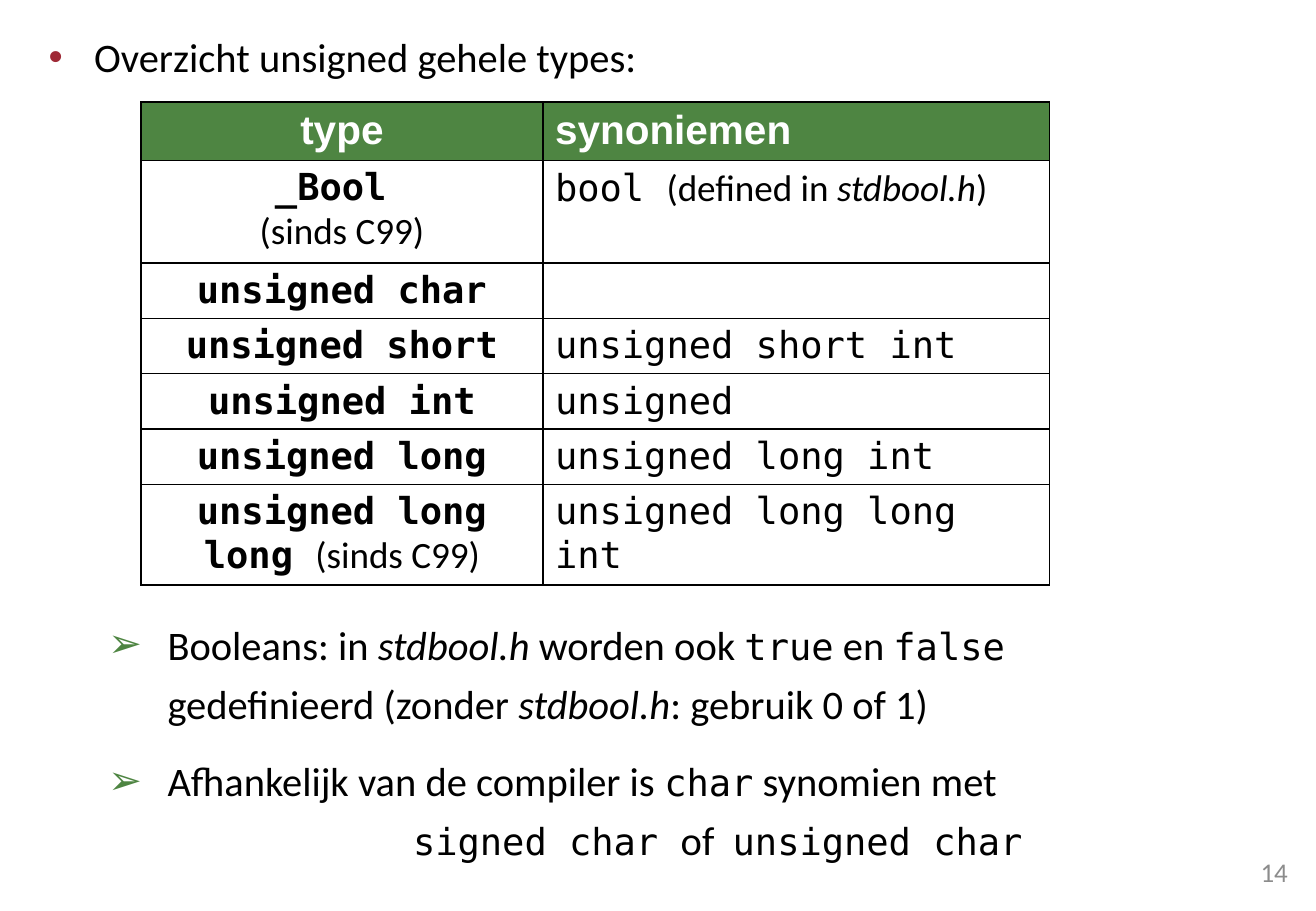
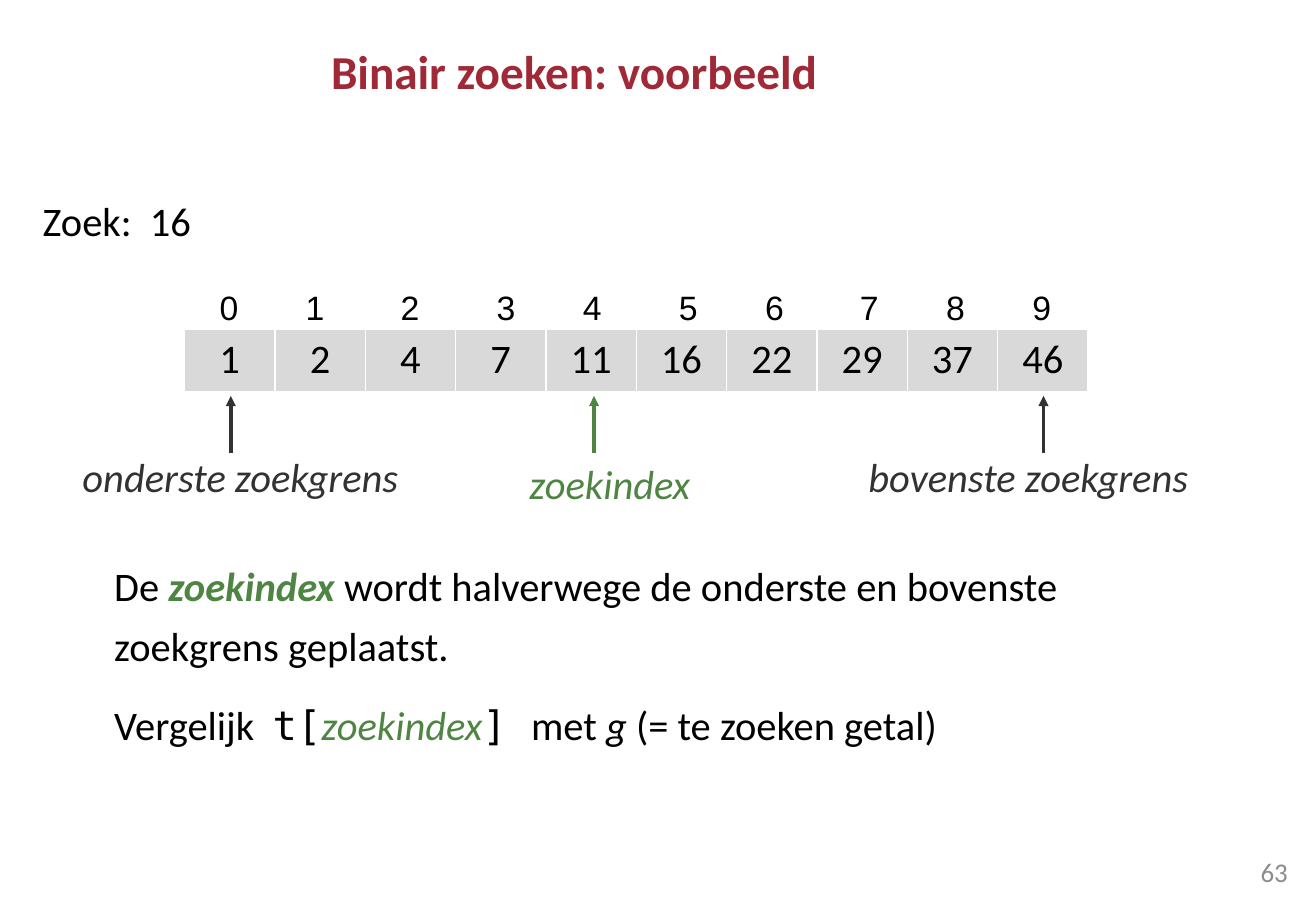
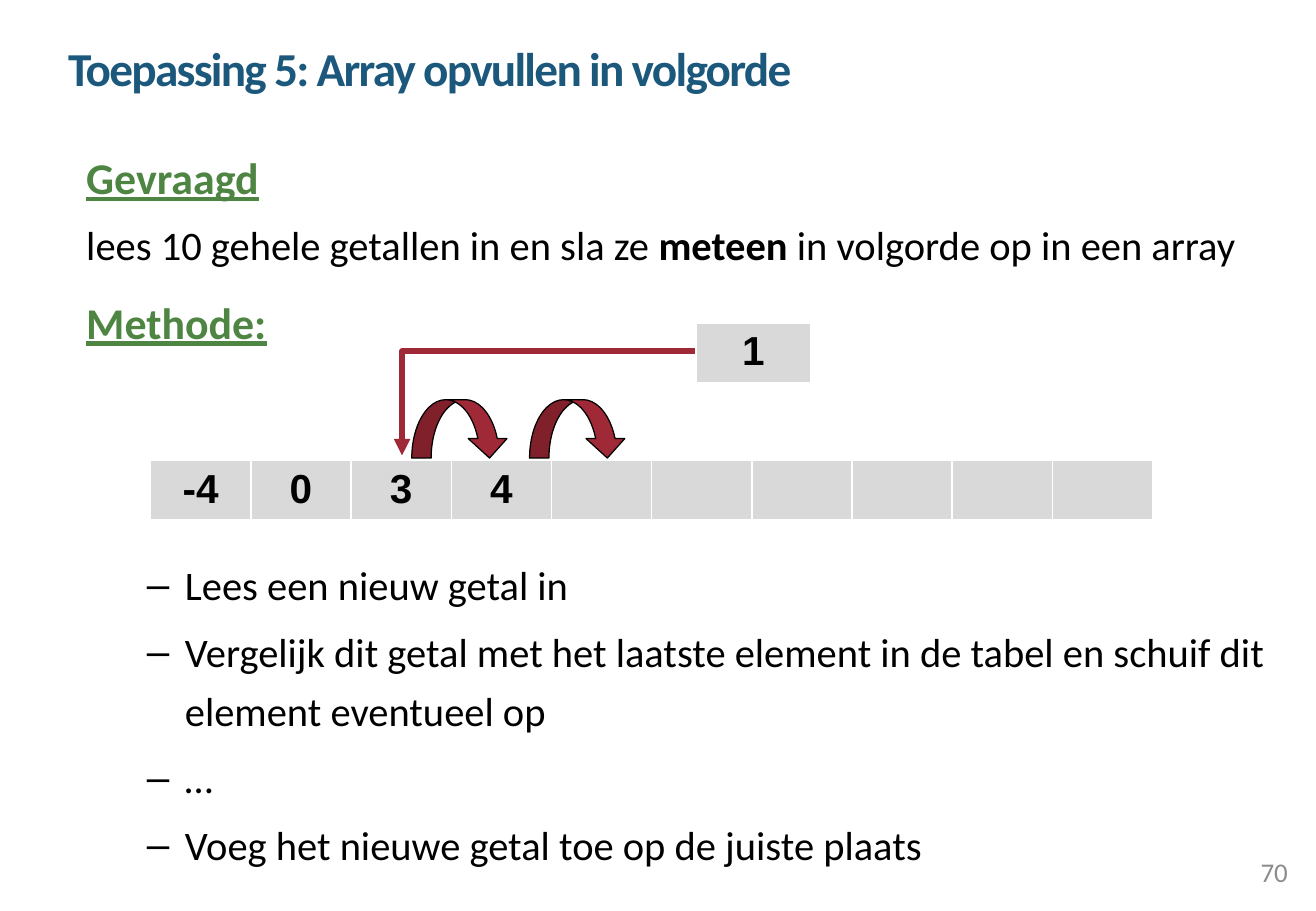
from dataclasses import dataclass

from lxml.etree import SubElement
from pptx import Presentation
from pptx.dml.color import RGBColor
from pptx.enum.shapes import MSO_CONNECTOR as Connector, MSO_SHAPE as Shape
from pptx.enum.text import MSO_ANCHOR as Anchor, MSO_AUTO_SIZE as AutoSize, PP_ALIGN as Align
from pptx.oxml.ns import qn
from pptx.util import Pt

BLACK = RGBColor(0x00, 0x00, 0x00)
WHITE = RGBColor(0xFF, 0xFF, 0xFF)
RED = RGBColor(0x9F, 0x29, 0x36)
GREEN = RGBColor(0x4E, 0x85, 0x42)
BLUE = RGBColor(0x1B, 0x58, 0x7C)
DARK = RGBColor(0x32, 0x32, 0x32)
GREY = RGBColor(0x8C, 0x8C, 0x8C)
LIGHT = RGBColor(0xD9, 0xD9, 0xD9)

SANS, ARIAL, MONO = "Calibri", "Arial", "DejaVu Sans Mono"

GRID_BORDERS = {side: (BLACK, 1) for side in "LRTB"}
ARRAY_BORDERS = {"L": (WHITE, 1), "R": (WHITE, 1), "T": (WHITE, 1), "B": (WHITE, 3)}


@dataclass
class Span:
    text: str
    size: float = 24
    font: str = SANS
    color: RGBColor = BLACK
    bold: bool = False
    italic: bool = False
    underline: bool = False


def code(text, size=22, bold=False):
    return Span(text, size, MONO, bold=bold)


def italic(text, size=24, color=BLACK, bold=False):
    return Span(text, size, color=color, bold=bold, italic=True)


def heading(text):
    return Span(text, 26, color=GREEN, bold=True, underline=True)


def add_spans(para, spans):
    for span in spans:
        run = para.add_run()
        run.text = span.text
        font = run.font
        font.size, font.name = Pt(span.size), span.font
        font.bold, font.italic, font.underline = span.bold, span.italic, span.underline
        font.color.rgb = span.color


def add_para(frame, spans, level=0, left=0, hang=0, bullet=None, bullet_color=BLACK,
             line=None, before=4.8, after=0):
    """Fill the frame's empty first paragraph, or add one after the others."""
    first = frame.paragraphs[0]
    para = frame.add_paragraph() if first.runs else first
    para.level = level
    para.alignment = Align.LEFT
    para.space_before, para.space_after = Pt(before), Pt(after)
    para.line_spacing = Pt(line) if line else 1.0
    properties = para._p.get_or_add_pPr()
    properties.set("marL", str(Pt(left)))
    properties.set("indent", str(Pt(-hang)))
    if bullet:
        color = SubElement(properties, qn("a:buClr"))
        SubElement(color, qn("a:srgbClr"), val=str(bullet_color))
        SubElement(properties, qn("a:buFont"), typeface=ARIAL)
        SubElement(properties, qn("a:buChar"), char=bullet)
    else:
        SubElement(properties, qn("a:buNone"))
    add_spans(para, spans)


def place(box, left, top, width, height):
    box.left, box.top, box.width, box.height = Pt(left), Pt(top), Pt(width), Pt(height)
    frame = box.text_frame
    frame.word_wrap = True
    frame.auto_size = AutoSize.NONE
    return frame


def set_title(slide, bounds, text, color, align=Align.CENTER, line=None, tracking=0):
    frame = place(slide.shapes.title, *bounds)
    frame.vertical_anchor = Anchor.MIDDLE
    para = frame.paragraphs[0]
    para.alignment = align
    if line:
        para.line_spacing = Pt(line)
    add_spans(para, [Span(text, 28, color=color, bold=True)])
    if tracking:
        para.runs[0].font._element.set("spc", str(tracking * 100))


def get_body(slide, *bounds):
    frame = place(slide.placeholders[1], *bounds)
    frame.vertical_anchor = Anchor.TOP
    return frame


def add_label(slide, bounds, span, align=Align.LEFT, anchor=Anchor.TOP, wrap=True):
    frame = place(slide.shapes.add_textbox(0, 0, 0, 0), *bounds)
    frame.word_wrap = wrap
    frame.vertical_anchor = anchor
    para = frame.paragraphs[0]
    para.alignment = align
    add_spans(para, [span])


def add_slide(deck, number):
    slide = deck.slides.add_slide(deck.slide_layouts[1])
    add_label(slide, (588, 502.5, 182.5, 29), Span(number, 16, color=GREY),
              Align.RIGHT, Anchor.MIDDLE)
    return slide


def add_plain_table(slide, left, top, widths, heights):
    frame = slide.shapes.add_table(len(heights), len(widths), Pt(left), Pt(top),
                                   Pt(sum(widths)), Pt(sum(heights)))
    table = frame.table
    table.first_row = table.horz_banding = False
    for column, width in zip(table.columns, widths):
        column.width = Pt(width)
    for row, height in zip(table.rows, heights):
        row.height = Pt(height)
    return table


def fill_cell(cell, lines, align, fill, borders):
    """Each line is a list of spans and becomes one paragraph."""
    properties = cell._tc.get_or_add_tcPr()
    for side, (color, width) in borders.items():
        border = SubElement(properties, qn("a:ln" + side), w=str(Pt(width)))
        paint = SubElement(border, qn("a:solidFill"))
        SubElement(paint, qn("a:srgbClr"), val=str(color))
    if fill is None:
        cell.fill.background()
    else:
        cell.fill.solid()
        cell.fill.fore_color.rgb = fill
    frame = cell.text_frame
    for index, spans in enumerate(lines):
        para = frame.add_paragraph() if index else frame.paragraphs[0]
        para.alignment = align
        add_spans(para, spans)


def add_array(slide, left, top, width, height, values, **style):
    """One row of equal grey cells; an empty value leaves its cell blank."""
    table = add_plain_table(slide, left, top, [width] * len(values), [height])
    for cell, value in zip(table.rows[0].cells, values):
        lines = [[Span(value, **style)]] if value else []
        fill_cell(cell, lines, Align.CENTER, LIGHT, ARRAY_BORDERS)


def add_arrow(slide, start, end, color, width, kind=Connector.STRAIGHT):
    arrow = slide.shapes.add_connector(kind, *map(Pt, start + end))
    arrow.line.color.rgb = color
    arrow.line.width = Pt(width)
    properties = arrow._element.spPr
    SubElement(properties.find(qn("a:ln")), qn("a:tailEnd"), type="triangle")
    SubElement(properties, qn("a:effectLst"))
    return arrow


def add_curved_arrow(slide, left, top, width, height):
    arrow = slide.shapes.add_shape(Shape.CURVED_DOWN_ARROW, Pt(left), Pt(top),
                                   Pt(width), Pt(height))
    for index, value in enumerate((0.332, 0.664, 0.333)):
        arrow.adjustments[index] = value
    arrow.shadow.inherit = False
    arrow.fill.solid()
    arrow.fill.fore_color.rgb = RED
    arrow.line.color.rgb = BLACK
    arrow.line.width = Pt(0.75)


def add_type_table(slide):
    since = Span("(sinds C99)", 22)
    rows = [
        ([[code("_Bool ", bold=True)], [since]],
         [[code("bool "), Span("(defined in ", 22), italic("stdbool.h", 22), Span(")", 22)]]),
        ([[code("unsigned char", bold=True)]], []),
    ]
    for name, synonym in (("unsigned short", "unsigned short int"),
                          ("unsigned int", "unsigned"),
                          ("unsigned long", "unsigned long int")):
        rows.append(([[code(name, bold=True)]], [[code(synonym)]]))
    rows.append(([[code("unsigned long long ", bold=True), since]],
                 [[code("unsigned long long int")]]))
    header = tuple([[Span(text, 24, ARIAL, WHITE, bold=True)]]
                   for text in ("type", "synoniemen"))

    table = add_plain_table(slide, 83.5, 60.5, [238.3, 300.2],
                            [34.5, 61] + [32.8] * 4 + [59.3])
    for index, (row, contents) in enumerate(zip(table.rows, [header] + rows)):
        fill = None if index else GREEN
        for cell, lines, align in zip(row.cells, contents, (Align.CENTER, Align.LEFT)):
            fill_cell(cell, lines, align, fill, GRID_BORDERS)


def add_types_slide(deck):
    slide = add_slide(deck, "14")
    title = slide.shapes.title._element
    title.getparent().remove(title)

    body = get_body(slide, 21.6, 9.4, 686.2, 510)
    add_para(body, [Span("Overzicht unsigned gehele types:")], left=27, hang=27,
             bullet="•", bullet_color=RED, line=35, after=6)
    point = dict(level=1, left=70.5, hang=35.25, bullet="➢", bullet_color=GREEN, line=35)
    add_para(body, [Span("Booleans: in "), italic("stdbool.h"), Span(" worden ook "),
                    code("true"), Span(" en "), code("false"),
                    Span(" gedefinieerd (zonder "), italic("stdbool.h"),
                    Span(": gebruik 0 of 1)")], before=307, after=6, **point)
    add_para(body, [Span("Afhankelijk van de compiler is "), code("char"),
                    Span(" synomien met")], **point)
    add_para(body, [code("signed char "), Span("of  "), code("unsigned char")],
             level=1, left=216, line=35, before=0)
    add_type_table(slide)


def add_search_slide(deck):
    slide = add_slide(deck, "63")
    set_title(slide, (21.6, 9.4, 637.2, 64.8), "Binair zoeken: voorbeeld", RED)

    body = get_body(slide, 18, 112.3, 699.8, 384.5)
    add_para(body, [Span("Zoek:  16")])
    add_para(body, [Span("De "), italic("zoekindex ", color=GREEN, bold=True),
                    Span("wordt halverwege de onderste en bovenste zoekgrens geplaatst.")],
             left=42.5, line=36, before=180.4)
    add_para(body, [Span("Vergelijk  "), code("t[", 24), italic("zoekindex", color=GREEN),
                    code("] ", 24), Span("met "), italic("g"),
                    Span(" (= te zoeken getal)")], left=42.5, before=18)

    index_lefts = (108.7, 159.8, 216, 272.9, 324, 380.9, 432, 488.2, 539.3, 590.4)
    for index, left in enumerate(index_lefts):
        add_label(slide, (left, 167, 54, 30.2), Span(str(index), 20, ARIAL),
                  Align.CENTER, Anchor.MIDDLE, wrap=False)
    add_array(slide, 109.4, 195.1, 53.57, 38.2,
              ("1", "2", "4", "7", "11", "16", "22", "29", "37", "46"))

    for text, color, x, left, top, width in (
            ("onderste zoekgrens", DARK, 136.8, 41.8, 264.2, 216),
            ("bovenste zoekgrens", DARK, 618.5, 507.6, 264.2, 219.6),
            ("zoekindex", GREEN, 352.1, 306.7, 268.6, 123)):
        add_arrow(slide, (x, 268.6), (x, 234.7), color, 2)
        add_label(slide, (left, top, width, 36), italic(text, color=color))


def add_sorted_fill_slide(deck):
    slide = add_slide(deck, "70")
    set_title(slide, (33.1, 0.7, 697.7, 62.6), "Toepassing 5: Array opvullen in volgorde",
              BLUE, Align.LEFT, line=50, tracking=-1)

    body = get_body(slide, 43.9, 82.8, 714.3, 440)
    add_para(body, [heading("Gevraagd")], line=34)
    add_para(body, [Span("lees 10 gehele getallen in en sla ze "),
                    Span("meteen ", bold=True),
                    Span("in volgorde op in een array")], line=34)
    add_para(body, [heading("Methode:")], line=35, before=12)
    steps = ("Lees een nieuw getal in",
             "Vergelijk dit getal met het laatste element in de tabel en schuif dit "
             "element eventueel op",
             "…",
             "Voeg het nieuwe getal toe op de juiste plaats")
    for index, step in enumerate(steps):
        add_para(body, [Span(step)], level=1, left=58.5, hang=22.5, bullet="–",
                 line=35, before=4.8 if index else 119.5)

    for left in (244.1, 313.9):
        add_curved_arrow(slide, left, 236.9, 57.6, 34.6)
    insertion = add_arrow(slide, (422, 208.1), (238.3, 270), RED, 3.25, Connector.ELBOW)
    guides = insertion._element.spPr.find(qn("a:prstGeom")).get_or_add_avLst()
    SubElement(guides, qn("a:gd"), name="adj1", fmla="val 100000")

    number = dict(font=ARIAL, bold=True)
    add_array(slide, 89.3, 272.9, 59.4, 36, ["-4", "0", "3", "4"] + [""] * 6, **number)
    add_array(slide, 412.6, 191.5, 67.7, 36, ["1"], **number)


def main():
    deck = Presentation()
    deck.slide_width, deck.slide_height = Pt(780), Pt(540)
    add_types_slide(deck)
    add_search_slide(deck)
    add_sorted_fill_slide(deck)
    deck.save("out.pptx")


if __name__ == "__main__":
    main()
